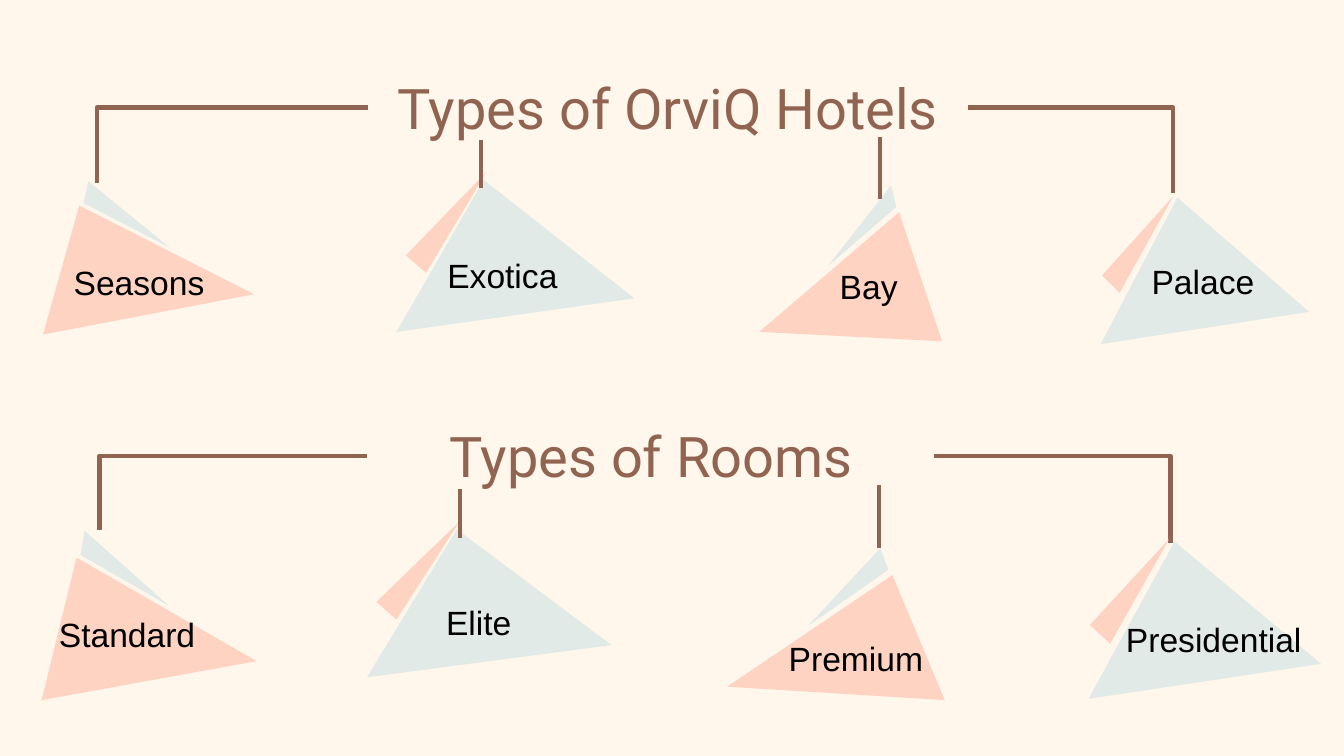
from dataclasses import dataclass

from lxml import etree
from pptx import Presentation
from pptx.dml.color import RGBColor
from pptx.enum.shapes import MSO_CONNECTOR
from pptx.enum.text import MSO_ANCHOR, PP_ALIGN
from pptx.oxml.ns import qn
from pptx.util import Inches, Pt

ELBOW = MSO_CONNECTOR.ELBOW
STRAIGHT = MSO_CONNECTOR.STRAIGHT
MIDDLE = MSO_ANCHOR.MIDDLE
TOP = MSO_ANCHOR.TOP
CENTER = PP_ALIGN.CENTER
LEFT = PP_ALIGN.LEFT

SLIDE_WIDTH = 10
SLIDE_HEIGHT = SLIDE_WIDTH * 9 / 16

COLORS = {
    "background": "FFF6EC",
    "brown": "916452",
    "mint": "E1EAE7",
    "peach": "FED3C2",
    "black": "000000",
}

Point = tuple[float, float]
Box = tuple[float, float, float, float]


@dataclass
class Tent:
    label: str
    label_box: Box
    body: list[Point]
    flap: list[Point]
    body_color: str
    flap_color: str


@dataclass
class Section:
    title: str
    title_box: Box
    branches: list[tuple[Point, Point]]
    stems: list[tuple[Point, Point]]
    tents: list[Tent]


def peach_tent(label: str, label_box: Box, body: list[Point], flap: list[Point]) -> Tent:
    return Tent(label, label_box, body, flap, "peach", "mint")


def mint_tent(label: str, label_box: Box, body: list[Point], flap: list[Point]) -> Tent:
    return Tent(label, label_box, body, flap, "mint", "peach")


SECTIONS = [
    Section(
        "Types of OrviQ Hotels",
        (2.74, 0.5, 4.46, 0.6),
        [((2.74, 0.8), (0.72, 1.36)), ((7.2, 0.8), (8.73, 1.44))],
        [((3.58, 1.04), (3.58, 1.4)), ((6.55, 1.02), (6.55, 1.48))],
        [
            peach_tent("Seasons", (0.45, 1.9, 1.3, 0.4),
                       [(0.32, 2.49), (0.59, 1.53), (1.89, 2.19)],
                       [(0.62, 1.51), (0.66, 1.35), (1.26, 1.84)]),
            mint_tent("Exotica", (3.23, 1.85, 1.02, 0.4),
                      [(3.6, 1.34), (2.95, 2.47), (4.72, 2.22)],
                      [(3.02, 1.9), (3.17, 2.03), (3.62, 1.28)]),
            peach_tent("Bay", (6.15, 1.93, 1.06, 0.4),
                       [(7.01, 2.54), (6.69, 1.58), (5.65, 2.47)],
                       [(6.67, 1.54), (6.63, 1.38), (6.16, 1.98)]),
            mint_tent("Palace", (8.47, 1.89, 1.72, 0.4),
                      [(8.76, 1.47), (8.19, 2.56), (9.74, 2.32)],
                      [(8.2, 2.05), (8.33, 2.18), (8.73, 1.46)]),
        ],
    ),
    Section(
        "Types of Rooms",
        (2.73, 3.09, 4.23, 0.6),
        [((2.73, 3.39), (0.74, 3.94)), ((6.95, 3.39), (8.71, 4.04))],
        [((3.42, 3.64), (3.42, 4)), ((6.54, 3.61), (6.54, 4.08))],
        [
            peach_tent("Standard", (0.34, 4.52, 1.3, 0.4),
                       [(0.31, 5.21), (0.57, 4.15), (1.91, 4.92)],
                       [(0.6, 4.13), (0.63, 3.95), (1.26, 4.51)]),
            mint_tent("Elite", (3.22, 4.43, 1.02, 0.4),
                      [(3.4, 3.94), (2.73, 5.04), (4.55, 4.8)],
                      [(2.8, 4.48), (2.95, 4.61), (3.42, 3.88)]),
            peach_tent("Premium", (5.77, 4.7, 1.32, 0.4),
                       [(7.03, 5.21), (6.64, 4.28), (5.41, 5.11)],
                       [(6.61, 4.24), (6.55, 4.08), (6.01, 4.66)]),
            mint_tent("Presidential", (8.28, 4.56, 1.54, 0.4),
                      [(8.74, 4.03), (8.1, 5.2), (9.83, 4.94)],
                      [(8.11, 4.65), (8.26, 4.79), (8.7, 4.01)]),
        ],
    ),
]


def rgb(name: str) -> RGBColor:
    return RGBColor.from_string(COLORS[name])


def add_text(slide, text: str, box: Box, *, size: float = 18, font: str = "Arial",
             color: str = "black", align=LEFT, anchor=TOP, inset: float = 0.05) -> None:
    shape = slide.shapes.add_textbox(*map(Inches, box))
    frame = shape.text_frame
    frame.word_wrap = True
    frame.vertical_anchor = anchor
    frame.margin_top = frame.margin_bottom = Inches(inset)
    paragraph = frame.paragraphs[0]
    paragraph.alignment = align
    run = paragraph.add_run()
    run.text = text
    run.font.size = Pt(size)
    run.font.name = font
    run.font.color.rgb = rgb(color)


def add_triangle(slide, points: list[Point], color: str) -> None:
    corners = [(Inches(x), Inches(y)) for x, y in points]
    builder = slide.shapes.build_freeform(*corners[0])
    builder.add_line_segments(corners[1:], close=True)
    shape = builder.convert_to_shape()
    shape.shadow.inherit = False
    shape.fill.solid()
    shape.fill.fore_color.rgb = rgb(color)
    shape.line.fill.background()


def add_line(slide, start: Point, end: Point, kind=STRAIGHT) -> None:
    connector = slide.shapes.add_connector(kind, *map(Inches, start + end))
    connector.line.color.rgb = rgb("brown")
    connector.line.width = Pt(2.25)
    properties = connector._element.spPr
    etree.SubElement(properties, qn("a:effectLst"))
    if kind == ELBOW:
        geometry = properties.find(qn("a:prstGeom"))
        adjustments = geometry.find(qn("a:avLst"))
        if adjustments is None:
            adjustments = etree.SubElement(geometry, qn("a:avLst"))
        etree.SubElement(adjustments, qn("a:gd"), name="adj1", fmla="val 100000")


def add_section(slide, section: Section) -> None:
    add_text(slide, section.title, section.title_box, size=30, font="Roboto",
             color="brown", align=CENTER, anchor=MIDDLE, inset=0.1)
    for start, end in section.branches:
        add_line(slide, start, end, ELBOW)
    for tent in section.tents:
        add_triangle(slide, tent.body, tent.body_color)
        add_triangle(slide, tent.flap, tent.flap_color)
    for start, end in section.stems:
        add_line(slide, start, end)
    for tent in section.tents:
        add_text(slide, tent.label, tent.label_box)


def main() -> None:
    presentation = Presentation()
    presentation.slide_width = Inches(SLIDE_WIDTH)
    presentation.slide_height = Inches(SLIDE_HEIGHT)
    slide = presentation.slides.add_slide(presentation.slide_layouts[6])
    slide.background.fill.solid()
    slide.background.fill.fore_color.rgb = rgb("background")
    for section in SECTIONS:
        add_section(slide, section)
    presentation.save("out.pptx")


if __name__ == "__main__":
    main()
